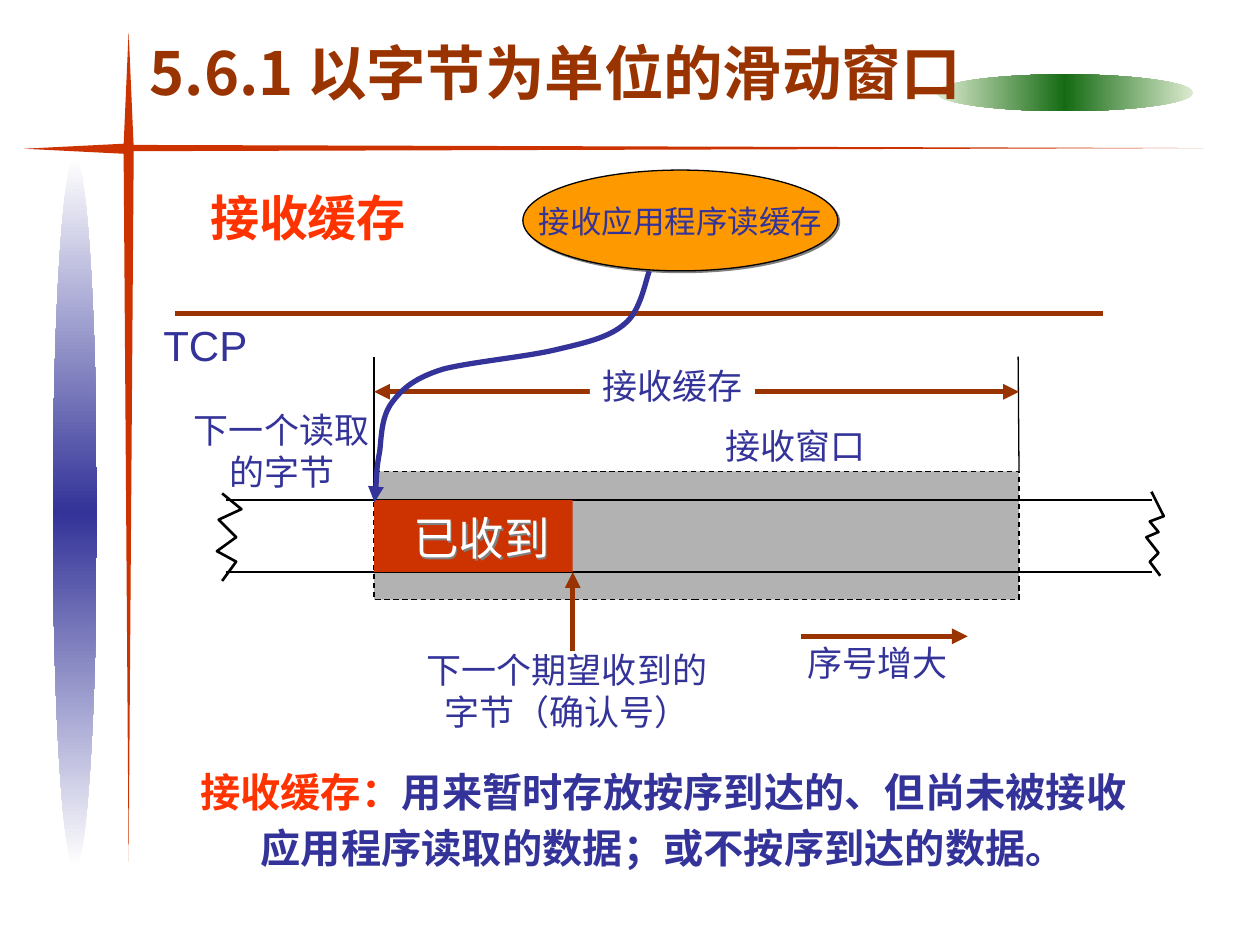
from copy import deepcopy
from dataclasses import dataclass
from typing import Optional

from lxml.etree import SubElement
from pptx import Presentation
from pptx.dml.color import RGBColor
from pptx.enum.dml import MSO_LINE_DASH_STYLE as Dash
from pptx.enum.shapes import MSO_CONNECTOR as Connector, MSO_SHAPE as Preset
from pptx.enum.text import MSO_ANCHOR as Anchor, MSO_AUTO_SIZE as AutoSize, PP_ALIGN as Align
from pptx.oxml.ns import qn
from pptx.util import Pt

CJK = "Noto Sans CJK SC"
BLUE, BROWN, RED, ORANGE_RED = "333399", "993300", "CC3300", "FF3300"
BLACK, WHITE, GREY, SHADE = "000000", "FFFFFF", "B2B2B2", "808080"
BUFFER_LEFT, BUFFER_RIGHT, ACK = 213.8, 582.3, 327.3
STREAM_TOP, STREAM_BOTTOM = 285.8, 326.9
Point = tuple[float, float]


@dataclass
class Box:
    left: float
    top: float
    width: float
    height: float
    fill: str
    preset: Preset = Preset.RECTANGLE
    line: Optional[str] = None
    rotation: float = 0


@dataclass
class Glow:
    box: Box
    edge: str
    angle: float


@dataclass
class Stroke:
    start: Point
    end: Point
    color: str = BROWN
    width: float = 3
    heads: tuple[str, ...] = ()


@dataclass
class Label:
    left: float
    top: float
    width: float
    height: float
    lines: tuple[str, ...]
    size: float = 20
    color: str = BLUE
    font: str = "Arial"
    bold: bool = False
    align: Align = Align.CENTER


GLOWS = [
    Glow(Box(535, 42.5, 147, 21, "156B13", Preset.OVAL), "DDEBCF", 0),
    Glow(Box(30.2, 90, 25.2, 405.4, BLUE, Preset.OVAL), WHITE, 90),
]
SPIKES = [
    Box(70.6, 83.5, 5.8, 409, RED, Preset.FLOWCHART_MERGE),
    Box(377.3, -223.9, 3.6, 617, RED, Preset.FLOWCHART_MERGE, rotation=270),
    Box(39.6, 56.2, 5.8, 57.6, RED, Preset.FLOWCHART_MERGE, rotation=90),
    Box(70.6, 18, 5.8, 66.2, RED, Preset.FLOWCHART_MERGE, rotation=180),
]
WINDOW = Box(BUFFER_LEFT, 269.3, BUFFER_RIGHT - BUFFER_LEFT, 73.4, GREY, line=BLACK)
READER = Box(298.8, 97.2, 180, 57.6, "FF9900", Preset.OVAL, BLACK)
RECEIVED = Box(BUFFER_LEFT, STREAM_TOP, ACK - BUFFER_LEFT, STREAM_BOTTOM - STREAM_TOP, RED)
SPAN_GAP = Box(337, 204.5, 94.3, 31.7, WHITE)
STROKES = [
    Stroke((100.1, 179.3), (630, 179.3)),
    Stroke((128.9, STREAM_TOP), (658.1, STREAM_TOP), BLACK, 0.75),
    Stroke((128.9, STREAM_BOTTOM), (658.1, STREAM_BOTTOM), BLACK, 0.75),
    Stroke((BUFFER_LEFT, 203.8), (BUFFER_LEFT, STREAM_TOP), BLACK, 0.75),
    Stroke((BUFFER_RIGHT - 0.5, 203.8), (BUFFER_RIGHT, 269.3), BLACK, 0.75),
    Stroke((BUFFER_LEFT, 223.9), (BUFFER_RIGHT, 223.9), heads=("headEnd", "tailEnd")),
    Stroke((457.9, 363.6), (553, 363.6), heads=("tailEnd",)),
    Stroke((ACK, 372.2), (ACK, STREAM_BOTTOM), heads=("tailEnd",)),
]
READ_CURVE = [
    (370.8, 154.8), (368.6, 159.8), (365.8, 177.8), (357.1, 185), (347.8, 193),
    (334.1, 195.8), (316.8, 200.2), (299.5, 204.5), (267.8, 206.6), (252.7, 211),
    (236.9, 216), (230.4, 222.5), (223.9, 230.4), (218.2, 237.6), (218.2, 249.1),
    (216.7, 258.5), (214.6, 267.8), (214.6, 280.8), (213.8, 286.6),
]
BREAKS = [
    [(658.1, 280.8), (664.6, 295.2), (657.4, 298.1), (662.4, 303.8),
     (655.2, 307.4), (661.7, 316.1), (657.4, 321.1), (663.1, 329)],
    [(126.7, 282.2), (137.5, 290.9), (125.3, 297.4), (135.4, 306.7),
     (123.8, 314.6), (135.4, 321.1), (126.7, 331.9)],
]
TITLE = Label(78.5, 17.3, 486, 48.2, ("5.6.1 以字节为单位的滑动窗口",), 34, BROWN, CJK, True, Align.LEFT)
RECEIVED_LABEL = Label(229, 287.8, 92.2, 38.9, ("已收到",), 26, WHITE)
LABELS = [
    Label(113, 103.7, 142.6, 41, ("接收缓存",), 28, ORANGE_RED, bold=True, align=Align.LEFT),
    Label(407.5, 239, 94.3, 31.7, ("接收窗口",)),
    Label(86.4, 179.3, 61.9, 36, ("TCP",), 24),
    Label(337, 204.5, 94.3, 31.7, ("接收缓存",)),
    Label(103.7, 229.7, 114.5, 55.4, ("下一个读取", "的字节")),
    Label(454.3, 362.9, 94.3, 31.7, ("序号增大",)),
    Label(236.9, 367.2, 174.2, 55.4, ("下一个期望收到的", "字节（确认号）")),
]


def rgb(code: str) -> RGBColor:
    return RGBColor.from_string(code)


def add_shadow(shape) -> None:
    shape.shadow.inherit = False
    effects = shape._element.spPr.find(qn("a:effectLst"))
    shadow = SubElement(effects, qn("a:outerShdw"), dist=str(Pt(1.4)), dir="2700000")
    SubElement(shadow, qn("a:srgbClr"), val=SHADE)


def add_heads(line, heads: tuple[str, ...]) -> None:
    for head in heads:
        SubElement(line._get_or_add_ln(), qn(f"a:{head}"), type="triangle")


def draw_box(shapes, box: Box):
    area = map(Pt, (box.left, box.top, box.width, box.height))
    shape = shapes.add_shape(box.preset, *area)
    shape.shadow.inherit = False
    shape.rotation = box.rotation
    shape.fill.solid()
    shape.fill.fore_color.rgb = rgb(box.fill)
    if box.line:
        shape.line.color.rgb = rgb(box.line)
        shape.line.width = Pt(0.75)
    else:
        shape.line.fill.background()
    return shape


def draw_glow(shapes, glow: Glow) -> None:
    fill = draw_box(shapes, glow.box).fill
    fill.gradient()
    fill.gradient_angle = glow.angle
    first = fill.gradient_stops[0]._gs
    first.addnext(deepcopy(first))
    colors = (glow.edge, glow.box.fill, glow.edge)
    for stop, color, position in zip(fill.gradient_stops, colors, (0, 0.5, 1)):
        stop.color.rgb = rgb(color)
        stop.position = position


def draw_stroke(shapes, stroke: Stroke) -> None:
    ends = map(Pt, (*stroke.start, *stroke.end))
    connector = shapes.add_connector(Connector.STRAIGHT, *ends)
    connector.line.color.rgb = rgb(stroke.color)
    connector.line.width = Pt(stroke.width)
    add_heads(connector.line, stroke.heads)
    SubElement(connector._element.spPr, qn("a:effectLst"))


def draw_outline(shapes, points: list[Point], color: str, width: float):
    builder = shapes.build_freeform(*points[0], scale=float(Pt(1)))
    builder.add_line_segments(points[1:], close=False)
    outline = builder.convert_to_shape()
    outline.shadow.inherit = False
    outline.fill.background()
    outline.line.color.rgb = rgb(color)
    outline.line.width = Pt(width)
    return outline


def bend(outline) -> None:
    """Turn each three line segments of the outline into one cubic curve."""
    segments = outline._element.findall(f".//{qn('a:lnTo')}")
    for start in range(0, len(segments), 3):
        curve = SubElement(segments[start].getparent(), qn("a:cubicBezTo"))
        for segment in segments[start:start + 3]:
            curve.append(segment[0])
            segment.getparent().remove(segment)


def style(paragraph, size: float, color: Optional[str], font: str, bold: bool = False) -> None:
    paragraph.font.size = Pt(size)
    paragraph.font.bold = bold
    paragraph.font.name = font
    if color:
        paragraph.font.color.rgb = rgb(color)


def draw_label(shapes, label: Label):
    area = map(Pt, (label.left, label.top, label.width, label.height))
    box = shapes.add_textbox(*area)
    frame = box.text_frame
    frame.word_wrap = False
    frame.auto_size = AutoSize.SHAPE_TO_FIT_TEXT
    frame.margin_left = Pt(7.2 if label.align == Align.LEFT else 0)
    frame.margin_right = Pt(0)
    frame.text = "\n".join(label.lines)
    for paragraph in frame.paragraphs:
        paragraph.alignment = label.align
        paragraph.line_spacing = Pt(label.size * 1.2)
        style(paragraph, label.size, label.color, label.font, label.bold)
    return box


def draw_definition(shapes) -> None:
    frame = shapes.add_textbox(Pt(105.8), Pt(430.4), Pt(547.2), Pt(68.4)).text_frame
    frame.word_wrap = True
    definition = frame.paragraphs[0]
    definition.alignment = Align.CENTER
    definition.line_spacing = Pt(32)
    style(definition, 23, None, CJK, True)
    meaning = "用来暂时存放按序到达的、但尚未被接收应用程序读取的数据；或不按序到达的数据。"
    for words, color in (("接收缓存：", ORANGE_RED), (meaning, BLUE)):
        run = definition.add_run()
        run.text = words
        run.font.color.rgb = rgb(color)


def draw_reader(shapes) -> None:
    reader = draw_box(shapes, READER)
    add_shadow(reader)
    frame = reader.text_frame
    frame.word_wrap = False
    frame.vertical_anchor = Anchor.MIDDLE
    frame.text = "接收应用程序读缓存"
    frame.paragraphs[0].alignment = Align.CENTER
    style(frame.paragraphs[0], 18, BLUE, "Arial")


def main() -> None:
    deck = Presentation()
    deck.slide_width, deck.slide_height = Pt(720), Pt(540)
    shapes = deck.slides.add_slide(deck.slide_layouts[6]).shapes
    for glow in GLOWS:
        draw_glow(shapes, glow)
    for spike in SPIKES:
        draw_box(shapes, spike)
    draw_label(shapes, TITLE)
    draw_box(shapes, WINDOW).line.dash_style = Dash.DASH
    draw_reader(shapes)
    for stroke in STROKES:
        draw_stroke(shapes, stroke)
    for box in (RECEIVED, SPAN_GAP):
        draw_box(shapes, box)
    add_shadow(draw_label(shapes, RECEIVED_LABEL))
    for label in LABELS:
        draw_label(shapes, label)
    read = draw_outline(shapes, READ_CURVE, BLUE, 3)
    bend(read)
    add_heads(read.line, ("tailEnd",))
    for edge in BREAKS:
        draw_outline(shapes, edge, BLACK, 1.5)
    draw_definition(shapes)
    deck.save("out.pptx")


if __name__ == "__main__":
    main()
